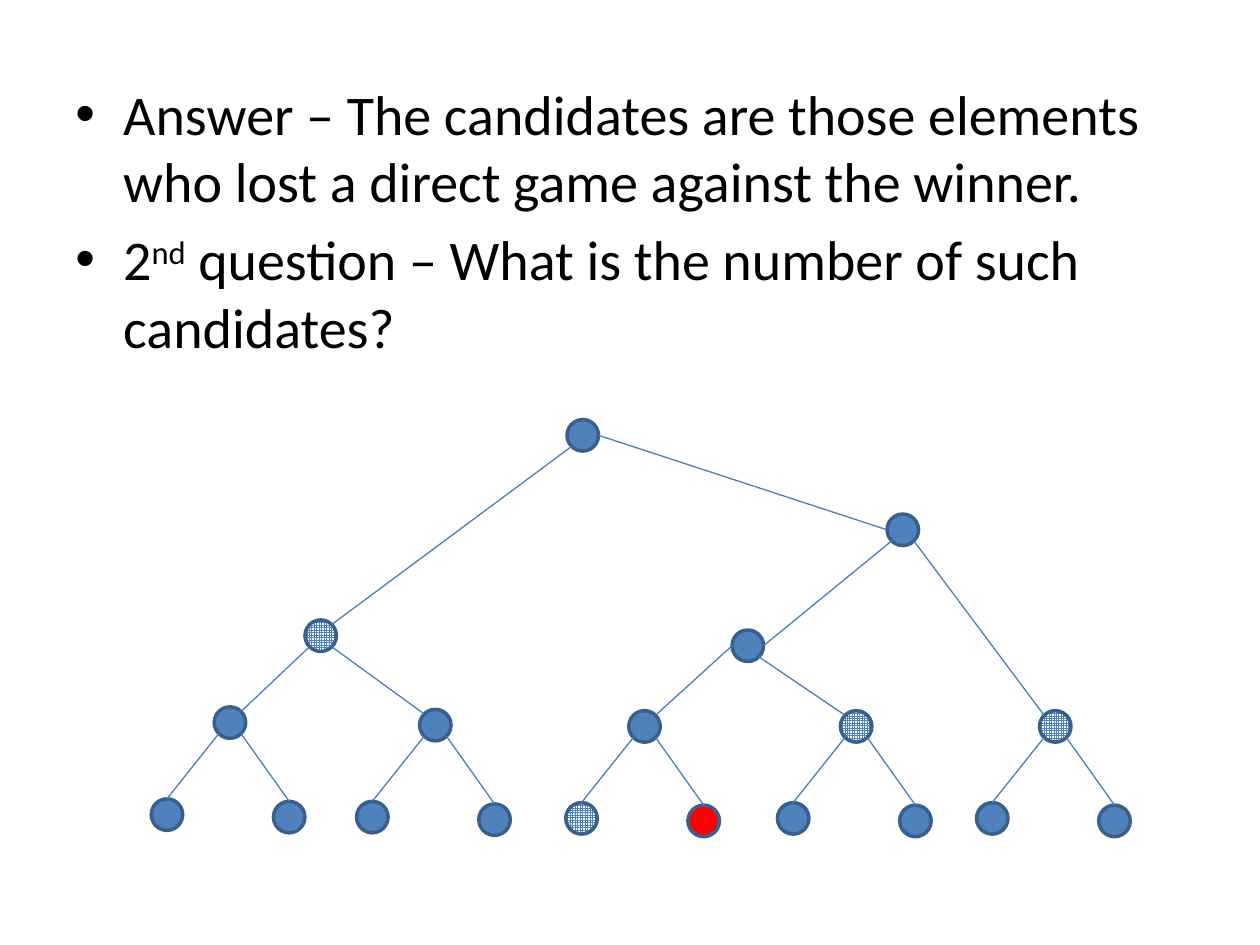
from dataclasses import dataclass
from math import cos, radians, sin

from lxml.etree import SubElement
from pptx import Presentation
from pptx.dml.color import RGBColor
from pptx.enum.dml import MSO_PATTERN
from pptx.enum.shapes import MSO_CONNECTOR, MSO_SHAPE
from pptx.oxml.ns import qn
from pptx.util import Emu, Pt

EMU_PER_PX = 9144
NODE_SIZE = 25
FONT = "Calibri"
COLORS = {
    "text": "000000",
    "node": "4F81BD",
    "outline": "3A5F8C",
    "edge": "4B7EBC",
    "chosen": "FF0000",
    "paper": "FFFFFF",
}
ANGLES = {"right": 0, "bottom_right": 45, "bottom": 90, "bottom_left": 135,
          "left": 180, "top_left": 225, "top": 270, "top_right": 315}


@dataclass(frozen=True)
class Node:
    left: int
    top: int
    style: str = "plain"

    def site(self, side: str) -> tuple[float, float]:
        radius, angle = NODE_SIZE / 2, radians(ANGLES[side])
        return (self.left + radius + radius * cos(angle),
                self.top + radius + radius * sin(angle))


@dataclass(frozen=True)
class Edge:
    parent: Node
    parent_side: str
    child: Node
    child_side: str


@dataclass(frozen=True)
class Match:
    winner: Node
    left_style: str = "plain"
    right_style: str = "plain"

    def leaves(self) -> tuple[Node, Node]:
        left, top = self.winner.left, self.winner.top
        return (Node(left - 50, top + 73, self.left_style),
                Node(left + 47, top + 75, self.right_style))

    def edges(self) -> list[Edge]:
        return [Edge(self.winner, side, leaf, "top")
                for side, leaf in zip(("bottom_left", "bottom_right"), self.leaves())]


ROOT = Node(450, 333)
RIGHT_FINALIST = Node(704, 408)
LEFT_FINALIST = Node(242, 492, "candidate")
SEMIFINALIST = Node(581, 500)
MATCHES = [
    Match(Node(170, 561)),
    Match(Node(333, 563)),
    Match(Node(499, 564), "candidate", "chosen"),
    Match(Node(667, 564, "candidate")),
    Match(Node(825, 564, "candidate")),
]
FIRST, SECOND, THIRD, FOURTH, FIFTH = [match.winner for match in MATCHES]
UPPER_EDGES = [
    Edge(LEFT_FINALIST, "bottom_left", FIRST, "top_right"),
    Edge(LEFT_FINALIST, "bottom_right", SECOND, "top_left"),
    Edge(SEMIFINALIST, "left", THIRD, "top_right"),
    Edge(SEMIFINALIST, "bottom_right", FOURTH, "top_left"),
    Edge(RIGHT_FINALIST, "bottom_left", SEMIFINALIST, "right"),
    Edge(RIGHT_FINALIST, "bottom_right", FIFTH, "top_left"),
    Edge(ROOT, "bottom_left", LEFT_FINALIST, "top_right"),
    Edge(ROOT, "right", RIGHT_FINALIST, "left"),
]


def px(length: float) -> Emu:
    return Emu(round(length * EMU_PER_PX))


def color(name: str) -> RGBColor:
    return RGBColor.from_string(COLORS[name])


def draw_node(page, node: Node) -> None:
    circle = page.shapes.add_shape(MSO_SHAPE.OVAL, px(node.left), px(node.top),
                                   px(NODE_SIZE), px(NODE_SIZE))
    circle.shadow.inherit = False
    if node.style == "candidate":
        circle.fill.patterned()
        circle.fill.pattern = MSO_PATTERN.SMALL_GRID
        circle.fill.fore_color.rgb = color("node")
        circle.fill.back_color.rgb = color("paper")
    else:
        circle.fill.solid()
        circle.fill.fore_color.rgb = color("chosen" if node.style == "chosen" else "node")
    circle.line.color.rgb = color("outline")
    circle.line.width = Pt(2)


def draw_edge(page, edge: Edge) -> None:
    ends = edge.parent.site(edge.parent_side) + edge.child.site(edge.child_side)
    line = page.shapes.add_connector(MSO_CONNECTOR.STRAIGHT, *map(px, ends))
    line.line.color.rgb = color("edge")
    line.line.width = Pt(0.75)
    SubElement(line._element.spPr, qn("a:effectLst"))


def format_bullet(para) -> None:
    para.space_before = Pt(6.4)
    properties = para._p.get_or_add_pPr()
    properties.set("marL", str(px(38)))
    properties.set("indent", str(px(-38)))
    SubElement(properties, qn("a:buFont")).set("typeface", "Arial")
    SubElement(properties, qn("a:buChar")).set("char", "•")
    for span in para.runs:
        span.font.name = FONT
        span.font.size = Pt(32)
        span.font.color.rgb = color("text")


def draw_body(page) -> None:
    box = page.shapes.add_textbox(px(50), px(58), px(900), px(612))
    frame = box.text_frame
    frame.word_wrap = True
    frame.text = ("Answer – The candidates are those elements "
                  "who lost a direct game against the winner.")
    question = frame.add_paragraph()
    question.text = "2"
    ordinal = question.add_run()
    ordinal.text = "nd"
    ordinal._r.get_or_add_rPr().set("baseline", "30000")
    question.add_run().text = " question – What is the number of such candidates?"
    for para in frame.paragraphs:
        format_bullet(para)


def main() -> None:
    deck = Presentation()
    deck.slide_width, deck.slide_height = px(1000), px(750)
    page = deck.slides.add_slide(deck.slide_layouts[6])
    draw_body(page)
    for node in (RIGHT_FINALIST, ROOT, SEMIFINALIST, LEFT_FINALIST):
        draw_node(page, node)
    for match in MATCHES:
        for node in (*match.leaves(), match.winner):
            draw_node(page, node)
        for edge in match.edges():
            draw_edge(page, edge)
    for edge in UPPER_EDGES:
        draw_edge(page, edge)
    deck.save("out.pptx")


if __name__ == "__main__":
    main()
